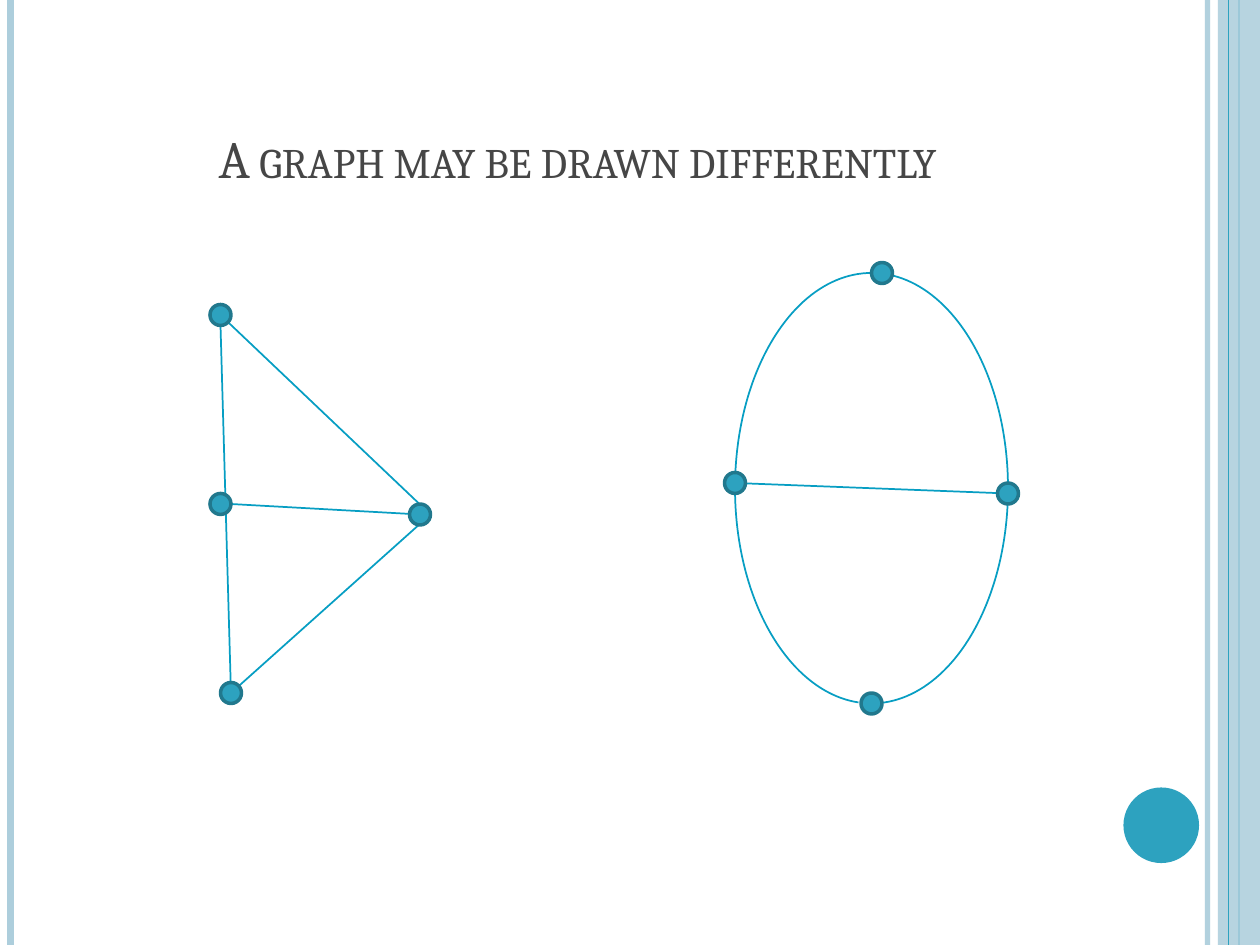
"""Build a slide that shows one graph drawn in two different ways."""
from typing import NamedTuple, Optional

from pptx import Presentation
from pptx.dml.color import RGBColor
from pptx.enum.shapes import MSO_CONNECTOR as CONN, MSO_SHAPE as SHAPE
from pptx.enum.text import MSO_ANCHOR as ANCHOR, PP_ALIGN as ALIGN
from pptx.oxml.ns import qn
from pptx.util import Pt

PX = 914400 // 120
WIDTH, HEIGHT = 1200, 900
NODE_SIZE = 20

PALE = RGBColor(0xAD, 0xCE, 0xDC)
TEAL = RGBColor(0x2D, 0xA2, 0xBF)
NODE_EDGE = RGBColor(0x21, 0x78, 0x8D)
EDGE = RGBColor(0x07, 0x9E, 0xC3)
INK = RGBColor(0x46, 0x46, 0x46)


class Point(NamedTuple):
    x: int
    y: int


class Box(NamedTuple):
    x: int
    y: int
    w: int
    h: int


class Stroke(NamedTuple):
    color: RGBColor
    pt: float
    alpha: int = 100


class Rule(NamedTuple):
    x: int
    stroke: Stroke


class Edge(NamedTuple):
    start: Point
    end: Point


THIN = Stroke(EDGE, 1)
RIM = Stroke(NODE_EDGE, 2)
BACK_RULES = [
    Rule(1150, Stroke(PALE, 3, 93)),
    Rule(10, Stroke(PALE, 4.5)),
    Rule(1180, Stroke(TEAL, 1.5)),
]
FRONT_RULE = Rule(1170, Stroke(TEAL, 0.75))

TRIANGLE_EDGES = [
    Edge(Point(210, 310), Point(220, 660)),
    Edge(Point(210, 300), Point(410, 490)),
    Edge(Point(220, 660), Point(410, 490)),
    Edge(Point(220, 480), Point(400, 490)),
]
TRIANGLE_NODES = [Point(210, 300), Point(210, 480), Point(400, 490), Point(220, 660)]
OVAL_EDGE = Edge(Point(700, 460), Point(960, 470))
OVAL_NODES = [*OVAL_EDGE, Point(840, 260), Point(830, 670)]


def set_alpha(fill_parent, percent: int) -> None:
    if percent < 100:
        clr = fill_parent.find(qn("a:solidFill"))[0]
        clr.makeelement(qn("a:alpha"), {})
        alpha = clr.makeelement(qn("a:alpha"), {"val": str(percent * 1000)})
        clr.append(alpha)


def add_line(s, start: Point, end: Point, stroke: Stroke) -> None:
    sp = s.shapes.add_connector(CONN.STRAIGHT, *(v * PX for v in (*start, *end)))
    sp.line.color.rgb = stroke.color
    sp.line.width = Pt(stroke.pt)
    props = sp._element.spPr
    set_alpha(props.find(qn("a:ln")), stroke.alpha)
    props.append(props.makeelement(qn("a:effectLst"), {}))


def add_rule(s, rule: Rule) -> None:
    add_line(s, Point(rule.x, 0), Point(rule.x, HEIGHT), rule.stroke)


def add_figure(s, kind: SHAPE, box: Box, fill: Optional[RGBColor] = None,
               stroke: Optional[Stroke] = None, alpha: int = 100):
    sp = s.shapes.add_shape(kind, *(v * PX for v in box))
    sp.shadow.inherit = False
    if fill is None:
        sp.fill.background()
    else:
        sp.fill.solid()
        sp.fill.fore_color.rgb = fill
        set_alpha(sp._element.spPr, alpha)
    if stroke is None:
        sp.line.fill.background()
    else:
        sp.line.color.rgb = stroke.color
        sp.line.width = Pt(stroke.pt)
    return sp


def add_node(s, center: Point) -> None:
    half = NODE_SIZE // 2
    box = Box(center.x - half, center.y - half, NODE_SIZE, NODE_SIZE)
    add_figure(s, SHAPE.OVAL, box, TEAL, RIM)


def add_title(s, text: str, box: Box) -> None:
    tf = s.shapes.add_textbox(*(v * PX for v in box)).text_frame
    tf.word_wrap = True
    tf.vertical_anchor = ANCHOR.BOTTOM
    p = tf.paragraphs[0]
    p.alignment = ALIGN.CENTER
    r = p.add_run()
    r.text = text
    r.font.name = "Cambria"
    r.font.size = Pt(30)
    r.font.color.rgb = INK
    r.font._element.set("cap", "small")


def main() -> None:
    prs = Presentation()
    prs.slide_width, prs.slide_height = WIDTH * PX, HEIGHT * PX
    s = prs.slides.add_slide(prs.slide_layouts[6])

    for rule in BACK_RULES:
        add_rule(s, rule)
    add_figure(s, SHAPE.RECTANGLE, Box(1160, 0, 40, HEIGHT), PALE, alpha=87)
    add_rule(s, FRONT_RULE)
    add_figure(s, SHAPE.OVAL, Box(1070, 750, 72, 72), TEAL)
    add_title(s, "A graph may be drawn differently", Box(60, 36, 980, 150))

    for edge in TRIANGLE_EDGES:
        add_line(s, edge.start, edge.end, THIN)
    for node in TRIANGLE_NODES:
        add_node(s, node)

    arc = add_figure(s, SHAPE.ARC, Box(700, 260, 260, 410), stroke=THIN)
    arc.adjustments[0], arc.adjustments[1] = 56.084, 55.282
    add_line(s, OVAL_EDGE.start, OVAL_EDGE.end, THIN)
    for node in OVAL_NODES:
        add_node(s, node)

    prs.save("out.pptx")


if __name__ == "__main__":
    main()
